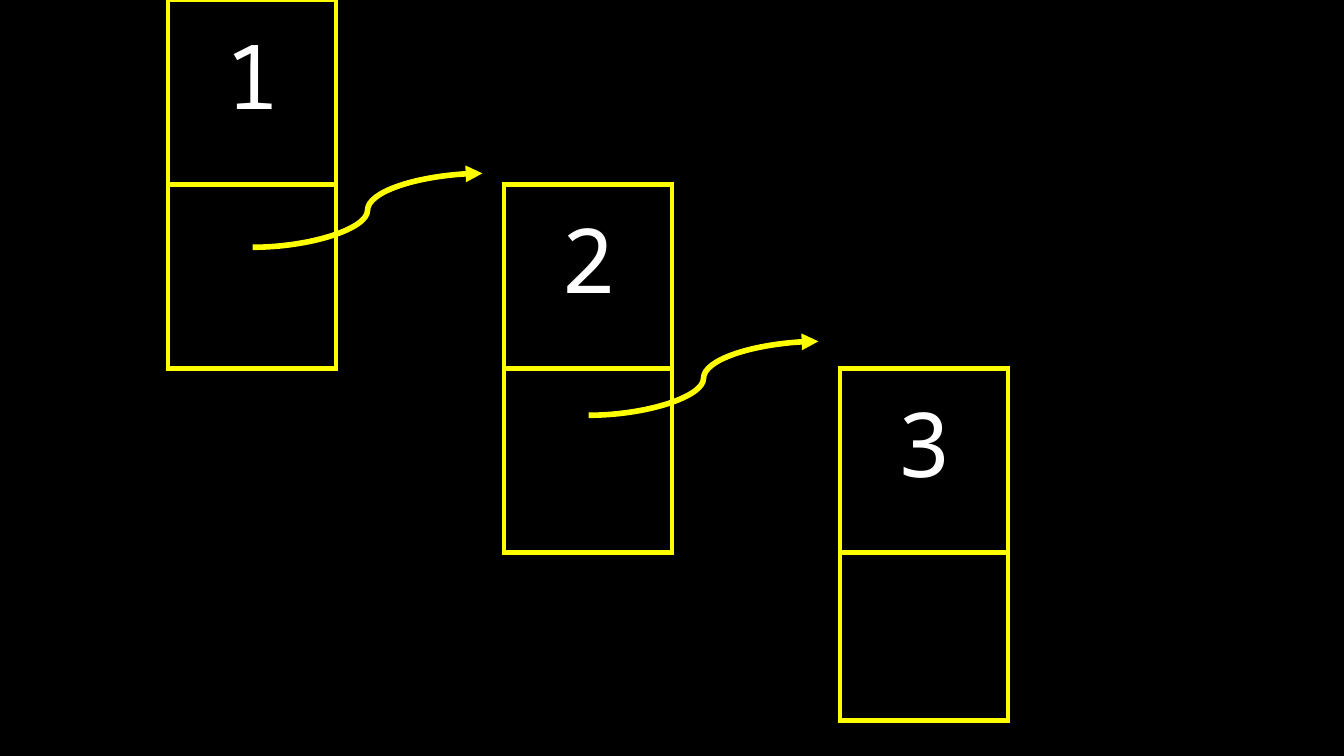
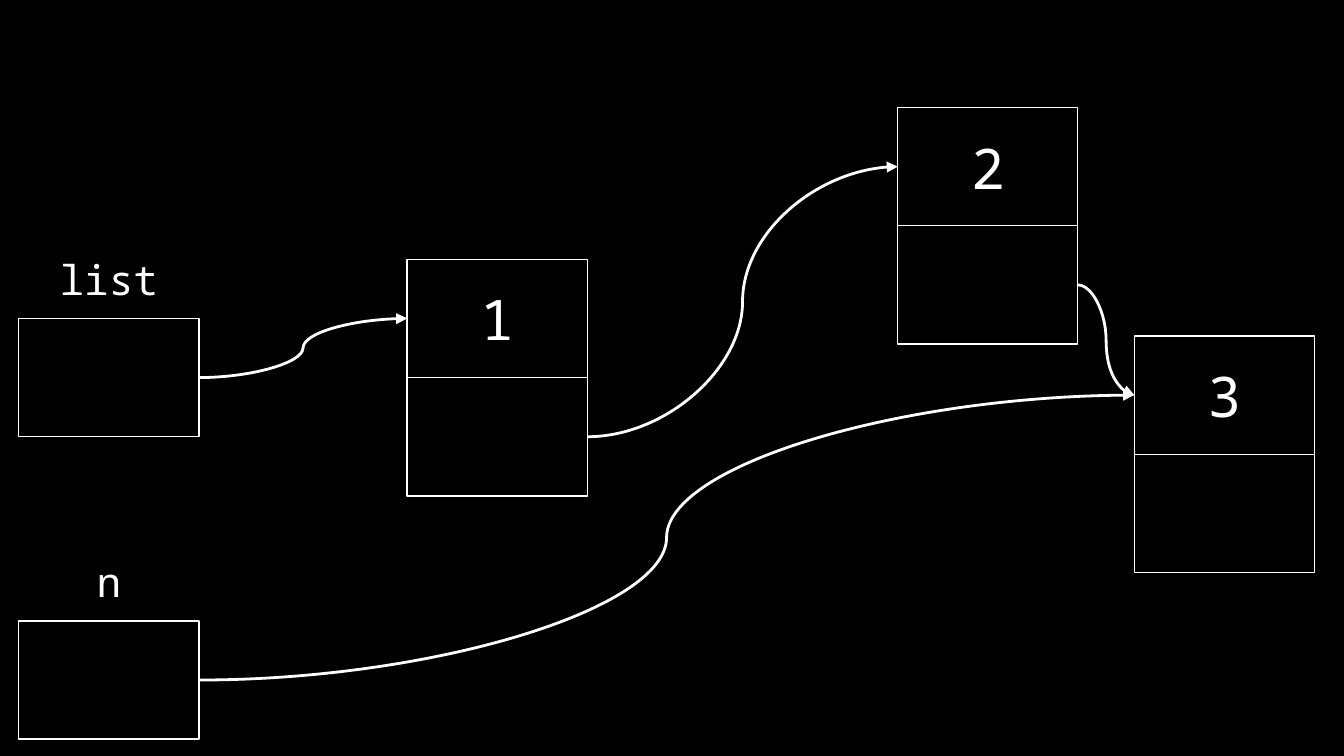
import pptx
import pptx.util
import pptx.dml.color
import pptx.enum.shapes
import pptx.enum.text
import pptx.oxml
import pptx.oxml.ns
import lxml.etree

FONT = "Noto Sans Mono"
BLACK, WHITE, YELLOW = "000000", "FFFFFF", "FFFF00"
A = pptx.oxml.ns.nsdecls("a")
CENTER = pptx.enum.text.PP_ALIGN.CENTER
MIDDLE = pptx.enum.text.MSO_ANCHOR.MIDDLE
Inches, Pt = pptx.util.Inches, pptx.util.Pt


def rgb(code):
    return pptx.dml.color.RGBColor.from_string(code)


def curve(s, x1, y1, x2, y2, color, width):
    """Draw a curved pointer that ends in an arrowhead."""
    kind = pptx.enum.shapes.MSO_CONNECTOR.CURVE
    c = s.shapes.add_connector(kind, Inches(x1), Inches(y1), Inches(x2), Inches(y2))
    c.line.color.rgb = rgb(color)
    c.line.width = Pt(width)
    ln = c.line._get_or_add_ln()
    ln.append(pptx.oxml.parse_xml(f'<a:tailEnd {A} type="triangle"/>'))
    lxml.etree.SubElement(c._element.spPr, pptx.oxml.ns.qn("a:effectLst"))


prs = pptx.Presentation()
prs.slide_width, prs.slide_height = Inches(10), Inches(5.625)
slides = []
for _ in range(2):
    s = prs.slides.add_slide(prs.slide_layouts[6])
    s.background.fill.solid()
    s.background.fill.fore_color.rgb = rgb(BLACK)
    slides.append(s)
steps, diagram = slides

# Slide 1: staircase of nodes in a table
COL, TALL = 1.25, 1.37
ROWS, COLS = 5, 8
frame = steps.shapes.add_table(ROWS, COLS, 0, 0, prs.slide_width, Inches(3 * TALL + 2 * COL))
table = frame.table
table.first_row = table.horz_banding = False
style = table._tbl.tblPr.find(pptx.oxml.ns.qn("a:tableStyleId"))
style.text = "{2D5ABB26-0587-4C30-8999-92F81FD0307C}"
for col in table.columns:
    col.width = Inches(COL)
for i, row in enumerate(table.rows):
    row.height = Inches(TALL if i < 3 else COL)

# Each node is two stacked cells, one row down and two columns right of the last
boxed = {(n + half, 2 * n + 1) for n in range(3) for half in range(2)}
sides = {"lnL": (0, -1), "lnR": (0, 1), "lnT": (-1, 0), "lnB": (1, 0)}
solid = f'<a:solidFill><a:srgbClr val="{YELLOW}"/></a:solidFill>'
for r in range(ROWS):
    for c in range(COLS):
        cell = table.cell(r, c)
        tcPr = cell._tc.get_or_add_tcPr()
        for side, (dr, dc) in sides.items():
            # An edge shows when it touches a node; every other edge is switched off
            edge = solid if boxed & {(r, c), (r + dr, c + dc)} else "<a:noFill/>"
            tcPr.append(pptx.oxml.parse_xml(f'<a:{side} {A} w="{Pt(3)}">{edge}</a:{side}>'))
        cell.fill.background()

for n in range(3):
    cell = table.cell(n, 2 * n + 1)
    cell.vertical_anchor = MIDDLE
    cell.margin_left = cell.margin_right = cell.margin_top = Inches(0.1)
    cell.margin_bottom = Inches(0.36)
    p = cell.text_frame.paragraphs[0]
    p.text = str(n + 1)
    p.alignment = CENTER
    p.font.name, p.font.size = FONT, Pt(48)
    p.font.color.rgb = rgb(WHITE)

for n in range(2):
    x, y = 1.88 + n * 2 * COL, 1.84 + n * COL
    curve(steps, x, y, x + 1.71, y - 0.55, YELLOW, 3)

# Slide 2: list diagram; every box has the same size
W, H = 1.34, 0.88
NODES = {"1": (3.03, 1.93), "2": (6.68, 0.8), "3": (8.44, 2.5)}
POINTERS = {"list": (0.14, 2.37), "n": (0.14, 4.62)}
boxes = [(x, y, "") for x, y in POINTERS.values()]
for number, (x, y) in NODES.items():
    boxes += [(x, y, number), (x, y + H, "")]

for x, y, text in boxes:
    sp = diagram.shapes.add_shape(pptx.enum.shapes.MSO_SHAPE.RECTANGLE,
                                  Inches(x), Inches(y), Inches(W), Inches(H))
    sp.shadow.inherit = False
    sp.fill.background()
    sp.line.color.rgb = rgb(WHITE)
    sp.line.width = Pt(0.75)
    if text:
        tf = sp.text_frame
        tf.margin_left = tf.margin_right = tf.margin_top = tf.margin_bottom = Inches(0.1)
        tf.vertical_anchor = MIDDLE
        p = tf.paragraphs[0]
        p.text = text
        p.alignment = CENTER
        p.font.name, p.font.size = FONT, Pt(30)
        p.font.color.rgb = rgb(WHITE)

# Variable names above their boxes
for name, (x, y) in POINTERS.items():
    sp = diagram.shapes.add_textbox(Inches(x + 0.2), Inches(y - 0.58), Inches(W - 0.4), Inches(0.44))
    tf = sp.text_frame
    tf.word_wrap = True
    tf.margin_left = tf.margin_right = tf.margin_top = tf.margin_bottom = Inches(0.1)
    p = tf.paragraphs[0]
    p.text = name
    p.alignment = CENTER
    p.font.name, p.font.size = FONT, Pt(22)
    p.font.color.rgb = rgb(WHITE)

# Arrows leave a box's right side and reach a node's upper left side
for source, target in [("list", "1"), ("1", "2"), ("n", "3"), ("2", "3")]:
    if source in NODES:
        x1, y1 = NODES[source][0] + W, NODES[source][1] + 1.5 * H
    else:
        x1, y1 = POINTERS[source][0] + W, POINTERS[source][1] + H / 2
    x2, y2 = NODES[target]
    curve(diagram, x1, y1, x2, y2 + H / 2, WHITE, 1.5)

prs.save("out.pptx")
